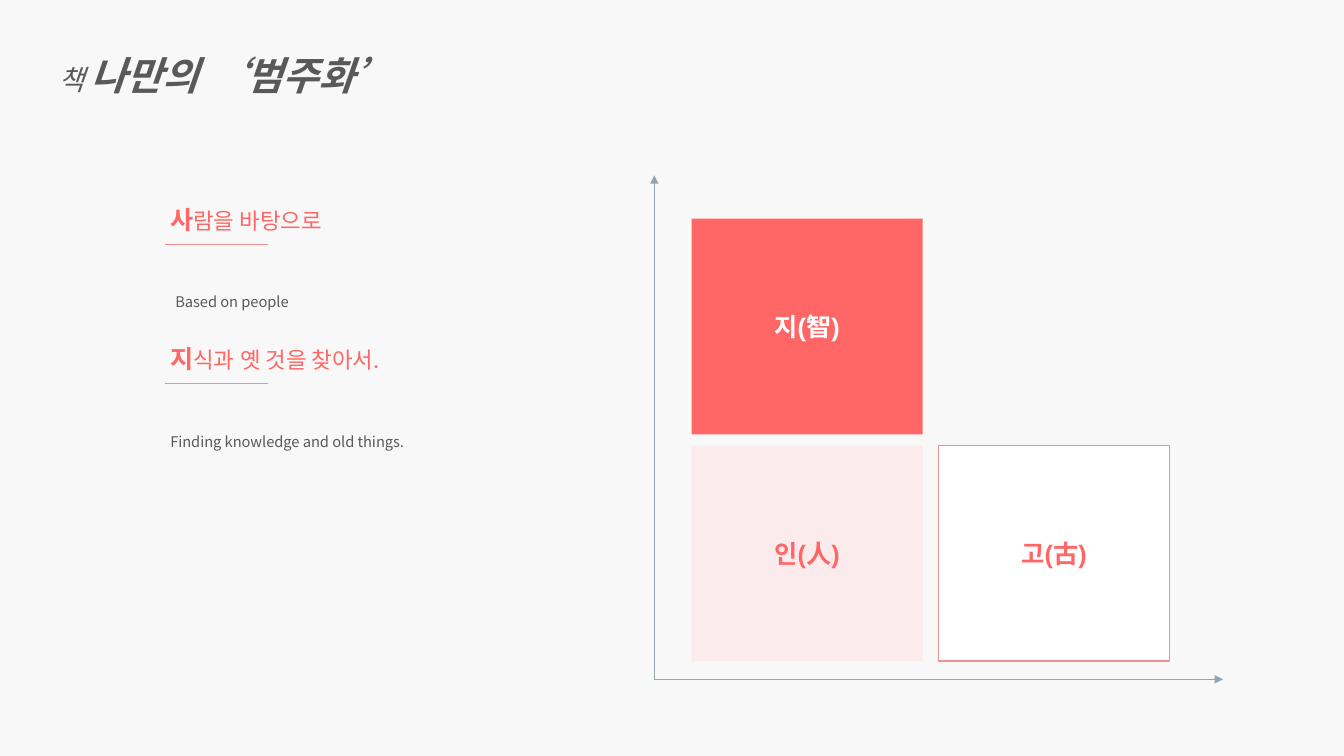
from lxml.etree import SubElement as Sub
from pptx import Presentation
from pptx.dml.color import RGBColor
from pptx.enum.shapes import MSO_CONNECTOR as Link, MSO_SHAPE as Form
from pptx.enum.text import MSO_ANCHOR as Anchor, MSO_AUTO_SIZE as Fit, PP_ALIGN as Align
from pptx.oxml.ns import qn
from pptx.util import Pt

PX = 9144
NOTO = "Noto Sans CJK KR"
GRAY, CORAL, ROSE, STEEL = "595959", "FF6766", "F48E93", "94A4AB"


def px(*sizes):
    return [size * PX for size in sizes]


def paint(color, tint):
    color.rgb = RGBColor.from_string(tint)


def add_run(para, text, size, tint, bold=False, italic=False, face=NOTO):
    run = para.add_run()
    run.text = text
    font = run.font
    font.size, font.bold, font.italic, font.name = Pt(size), bold, italic, face
    paint(font.color, tint)
    Sub(run._r.get_or_add_rPr(), qn("a:ea")).set("typeface", NOTO)


def add_line(slide, start, end, tint, arrow=False):
    line = slide.shapes.add_connector(Link.STRAIGHT, *px(*start, *end))
    paint(line.line.color, tint)
    line.line.width = Pt(0.5)
    if arrow:
        Sub(line.line._get_or_add_ln(), qn("a:tailEnd")).set("type", "triangle")
    Sub(line._element.spPr, qn("a:effectLst"))


def add_text(slide, box, wrap=True):
    frame = slide.shapes.add_textbox(*px(*box)).text_frame
    frame.word_wrap = wrap
    frame.auto_size = Fit.SHAPE_TO_FIT_TEXT
    return frame.paragraphs[0]


def add_title(slide, box):
    title = slide.shapes.title
    title.left, title.top, title.width, title.height = px(*box)
    frame = title.text_frame
    frame.vertical_anchor = Anchor.TOP
    frame.auto_size = Fit.SHAPE_TO_FIT_TEXT
    para = frame.paragraphs[0]
    para.alignment, para.line_spacing = Align.LEFT, 1.5
    add_run(para, "책 ", 20, GRAY, italic=True)
    add_run(para, "나만의 ‘범주화’", 28, GRAY, True, True)


def add_point(slide, box, runs, note, shift, drop):
    left, top, width, height = box
    head = add_text(slide, (left, top, width, 40), wrap=False)
    for text, size, bold in runs:
        add_run(head, text, size, CORAL, bold)
    rule = top + 44
    add_line(slide, (left + 5, rule), (left + 107, rule), ROSE)
    para = add_text(slide, (left + shift, top + drop, 312, height - drop))
    para.line_spacing = 1.5
    add_run(para, note, 10.5, GRAY)


def add_tile(slide, box, text, fill, tint, edge=None):
    tile = slide.shapes.add_shape(Form.RECTANGLE, *px(*box))
    tile.shadow.inherit = False
    tile.fill.solid()
    paint(tile.fill.fore_color, fill)
    if edge:
        paint(tile.line.color, edge)
        tile.line.width = Pt(1)
    else:
        tile.line.fill.background()
    frame = tile.text_frame
    frame.vertical_anchor = Anchor.MIDDLE
    para = frame.paragraphs[0]
    para.alignment = Align.CENTER
    add_run(para, text, 18, tint, True, face="Arial")


def add_grid(slide, box):
    left, top, width, height = box
    base = top + height
    for end in ((left + width, base), (left, top)):
        add_line(slide, (left, base), end, STEEL, True)
    tiles = [
        (0, 0, "지(智)", CORAL, "FFFFFF", None),
        (0, 1, "인(人)", "FCEBEC", CORAL, None),
        (1, 1, "고(古)", "FFFFFF", CORAL, ROSE),
    ]
    for col, row, *look in tiles:
        spot = (left + 37 + col * 245, top + 43 + row * 225, 229, 214)
        add_tile(slide, spot, *look)


def main():
    deck = Presentation()
    deck.slide_width, deck.slide_height = px(1333, 750)
    slide = deck.slides.add_slide(deck.slide_layouts[5])
    slide.background.fill.solid()
    paint(slide.background.fill.fore_color, "F8F8F8")
    add_title(slide, (48, 23, 665, 72))
    add_grid(slide, (649, 174, 564, 500))
    add_point(slide, (159, 198, 191, 112),
              [("사", 18, True), ("람을 바탕으로", 16, False)],
              "Based on people", 5, 79)
    add_point(slide, (159, 336, 255, 113),
              [("지", 18, True), ("식과", 16, False), (" ", 18, False),
               ("옛 것을 찾아서.", 16, False)],
              "Finding knowledge and old things.", 0, 80)
    deck.save("out.pptx")


if __name__ == "__main__":
    main()
